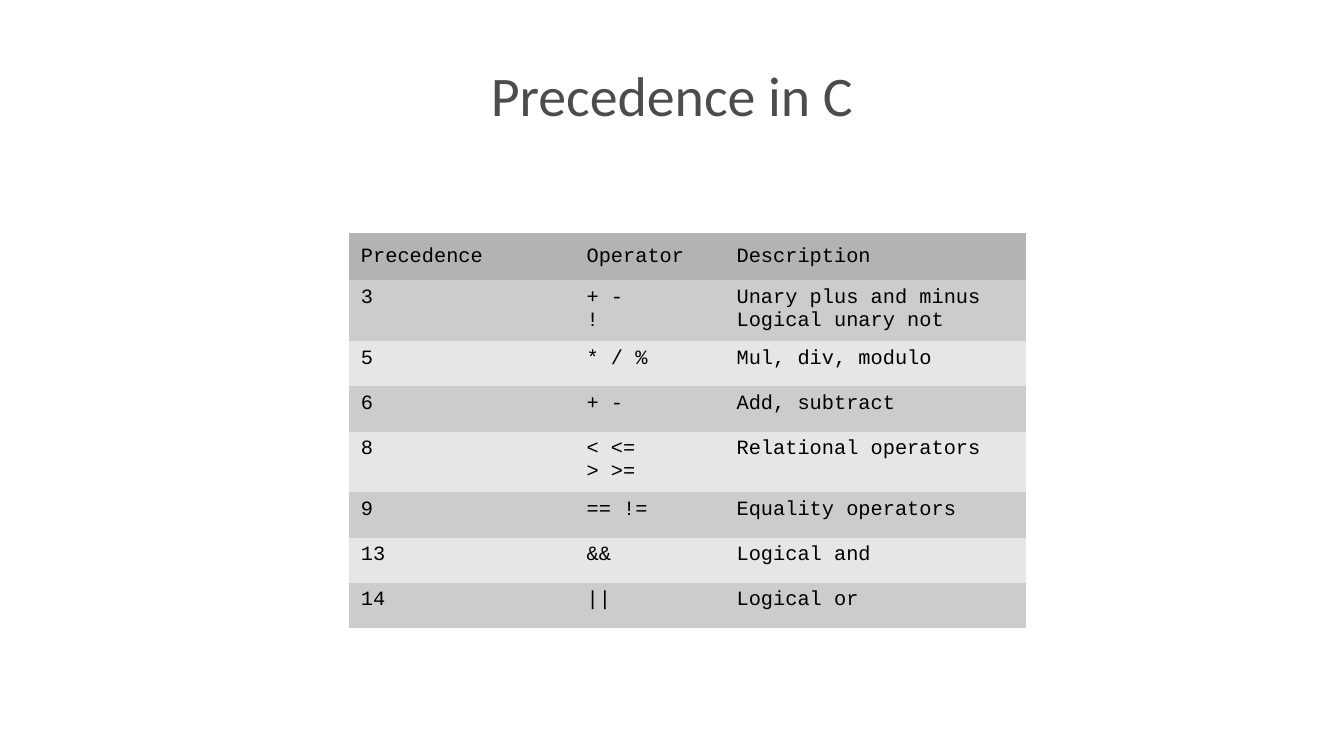
import pptx
import pptx.util
import pptx.dml.color
import pptx.enum.text
from dataclasses import dataclass

# Content: lines within a cell are split by a newline
TITLE = "Precedence in C"
ROWS = [
    ("Precedence", "Operator", "Description"),
    ("3", "+ -\n!", "Unary plus and minus\nLogical unary not"),
    ("5", "* / %", "Mul, div, modulo"),
    ("6", "+ -", "Add, subtract"),
    ("8", "< <=\n> >=", "Relational operators"),
    ("9", "== !=", "Equality operators"),
    ("13", "&&", "Logical and"),
    ("14", "||", "Logical or"),
]


@dataclass(frozen=True)
class Theme:
    title_font: str = "Calibri"
    title_size: int = 33
    title_ink: str = "4C4C4C"
    cell_font: str = "Courier New"
    cell_size: int = 12
    cell_ink: str = "000000"
    head: str = "B3B3B3"
    bands: tuple = ("CCCCCC", "E6E6E6")


THEME = Theme()
PLAIN = "{2D5ABB26-0587-4C30-8999-92F81FD0307C}"  # no style, no grid

# Grid, in inches
WIDE, HIGH = 11.02, 6.2
TITLE_BOX = (0.55, 0.25, 9.92, 1.04)
LEFT, TOP = 2.86, 1.91
COLS = (1.85, 1.23, 2.47)
HEAD_ROW, ROW, TALL_ROW = 0.39, 0.37, 0.5

inch = pptx.util.Inches
rgb = pptx.dml.color.RGBColor.from_string
ANCHOR = pptx.enum.text.MSO_ANCHOR
ALIGN = pptx.enum.text.PP_ALIGN


def style(par, name, size, ink):
    par.font.name = name
    par.font.size = pptx.util.Pt(size)
    par.font.color.rgb = rgb(ink)


def height(num, row):
    if num == 0:
        return HEAD_ROW
    return TALL_ROW if any("\n" in text for text in row) else ROW


def add_title(slide):
    title = slide.shapes.title
    title.left, title.top, title.width, title.height = map(inch, TITLE_BOX)
    frame = title.text_frame
    frame.text = TITLE
    frame.word_wrap = True
    frame.vertical_anchor = ANCHOR.MIDDLE
    frame.margin_left = frame.margin_right = 0
    frame.margin_top = frame.margin_bottom = 0
    par = frame.paragraphs[0]
    par.alignment = ALIGN.CENTER
    style(par, THEME.title_font, THEME.title_size, THEME.title_ink)


def add_grid(slide):
    highs = [height(num, row) for num, row in enumerate(ROWS)]
    box = map(inch, (LEFT, TOP, sum(COLS), sum(highs)))
    frame = slide.shapes.add_table(len(ROWS), len(COLS), *box)
    table = frame.table
    table.first_row = table.horz_banding = False
    table._tbl.tblPr[0].text = PLAIN

    for col, wide in zip(table.columns, COLS):
        col.width = inch(wide)
    for num, row in enumerate(ROWS):
        table.rows[num].height = inch(highs[num])
        fill = THEME.bands[(num - 1) % 2] if num else THEME.head
        for pos, text in enumerate(row):
            cell = table.cell(num, pos)
            cell.text = text
            cell.vertical_anchor = ANCHOR.TOP if num else ANCHOR.MIDDLE
            cell.fill.solid()
            cell.fill.fore_color.rgb = rgb(fill)
            for par in cell.text_frame.paragraphs:
                style(par, THEME.cell_font, THEME.cell_size, THEME.cell_ink)


def main():
    deck = pptx.Presentation()
    deck.slide_width, deck.slide_height = inch(WIDE), inch(HIGH)
    slide = deck.slides.add_slide(deck.slide_layouts.get_by_name("Title Only"))
    add_title(slide)
    add_grid(slide)
    deck.save("out.pptx")


if __name__ == "__main__":
    main()
